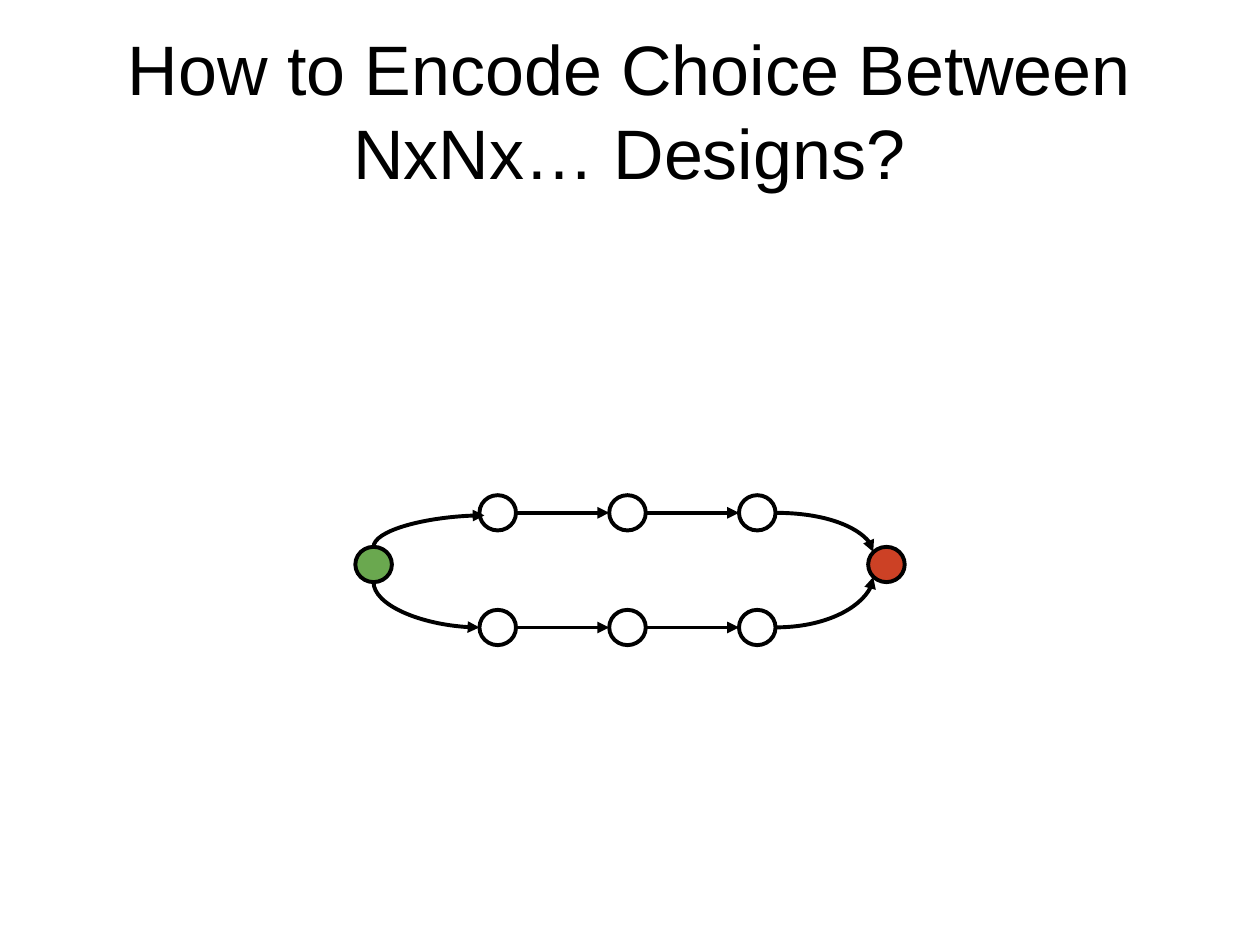
from dataclasses import dataclass

from lxml.etree import SubElement
from pptx import Presentation
from pptx.dml.color import RGBColor
from pptx.enum.shapes import MSO_CONNECTOR, MSO_SHAPE
from pptx.enum.text import MSO_ANCHOR, PP_ALIGN
from pptx.oxml.ns import qn
from pptx.util import Inches, Pt


@dataclass(frozen=True)
class Theme:
    font: str = "Arial"
    title_size: float = 40
    line_width: float = 2.25
    ink: str = "000000"
    plain: str = "FFFFFF"
    start: str = "6AA84F"
    finish: str = "CC4125"


class GraphSlide:
    """Draws on a grid of 100 columns by 75 rows."""

    COLUMNS, ROWS = 100, 75
    NODE_WIDTH, NODE_HEIGHT = 2.9, 2.8

    def __init__(self, presentation, theme):
        self.theme = theme
        self.slide = presentation.slides.add_slide(presentation.slide_layouts[6])
        self.column = presentation.slide_width / self.COLUMNS
        self.row = presentation.slide_height / self.ROWS

    def place(self, *lengths):
        units = (self.column, self.row) * 2
        return [round(length * unit) for length, unit in zip(lengths, units)]

    def outline(self, line):
        line.color.rgb = RGBColor.from_string(self.theme.ink)
        line.width = Pt(self.theme.line_width)

    def title(self, text, *box):
        frame = self.slide.shapes.add_textbox(*self.place(*box)).text_frame
        frame_format = {"word_wrap": True, "vertical_anchor": MSO_ANCHOR.MIDDLE}
        for name, value in frame_format.items():
            setattr(frame, name, value)
        paragraph = frame.paragraphs[0]
        paragraph.text = text
        paragraph.alignment = PP_ALIGN.CENTER
        font = paragraph.runs[0].font
        font_format = {"name": self.theme.font, "size": Pt(self.theme.title_size)}
        for name, value in font_format.items():
            setattr(font, name, value)
        font.color.rgb = RGBColor.from_string(self.theme.ink)

    def node(self, x, y, color):
        width, height = self.NODE_WIDTH, self.NODE_HEIGHT
        box = self.place(x - width / 2, y - height / 2, width, height)
        shape = self.slide.shapes.add_shape(MSO_SHAPE.OVAL, *box)
        shape.shadow.inherit = False
        shape.fill.solid()
        shape.fill.fore_color.rgb = RGBColor.from_string(color)
        self.outline(shape.line)

    def arrow(self, begin, end, kind=MSO_CONNECTOR.STRAIGHT):
        ends = self.place(*begin, *end)
        connector = self.slide.shapes.add_connector(kind, *ends)
        self.outline(connector.line)
        properties = connector._element.spPr
        SubElement(properties.find(qn("a:ln")), qn("a:tailEnd"), type="triangle")
        SubElement(properties, qn("a:effectLst"))
        return properties

    def curve(self, begin, end, leaves_upright=False):
        """A quarter bend that leaves level, or upright by a quarter turn."""
        (x1, y1), (x2, y2) = begin, end
        if leaves_upright:
            middle_x, middle_y = (x1 + x2) / 2, (y1 + y2) / 2
            half_x, half_y = (x2 - x1) / 2, (y2 - y1) / 2
            begin = middle_x + half_y, middle_y - half_x
            end = middle_x - half_y, middle_y + half_x
        properties = self.arrow(begin, end, MSO_CONNECTOR.CURVE)
        properties.find(qn("a:prstGeom")).set("prst", "curvedConnector2")
        if leaves_upright:
            properties.find(qn("a:xfrm")).set("rot", str(270 * 60000))


def main():
    presentation = Presentation()
    presentation.slide_width, presentation.slide_height = Inches(10), Inches(7.5)
    theme = Theme()
    graph = GraphSlide(presentation, theme)
    half_width, half_height = graph.NODE_WIDTH / 2, graph.NODE_HEIGHT / 2

    graph.title("How to Encode Choice Between NxNx… Designs?", 5.1, 0.1, 89.7, 17.2)

    # Start and finish nodes
    start_x, finish_x, middle_y = 29.65, 70.35, 44.8
    graph.node(start_x, middle_y, theme.start)
    graph.node(finish_x, middle_y, theme.finish)

    # Two chains of three nodes joined by straight arrows
    chain_x = [39.5 + 10.3 * index for index in range(3)]
    upper_y, lower_y = 40.7, 49.8
    for y in (upper_y, lower_y):
        for x in chain_x:
            graph.node(x, y, theme.plain)
        for left, right in zip(chain_x, chain_x[1:]):
            graph.arrow((left + half_width, y), (right - half_width, y))

    # Curves that branch from the start and merge at the finish
    entry_x, exit_x = chain_x[0] - half_width, chain_x[-1] + half_width
    graph.curve((start_x, middle_y - half_height), (entry_x + 0.4, upper_y + 0.2), True)
    graph.curve((start_x, middle_y + half_height), (entry_x, lower_y), True)
    for y, merge_y in ((upper_y, middle_y - 1), (lower_y, middle_y + 1)):
        graph.curve((exit_x, y), (finish_x - 1.05, merge_y))

    presentation.save("out.pptx")


if __name__ == "__main__":
    main()
